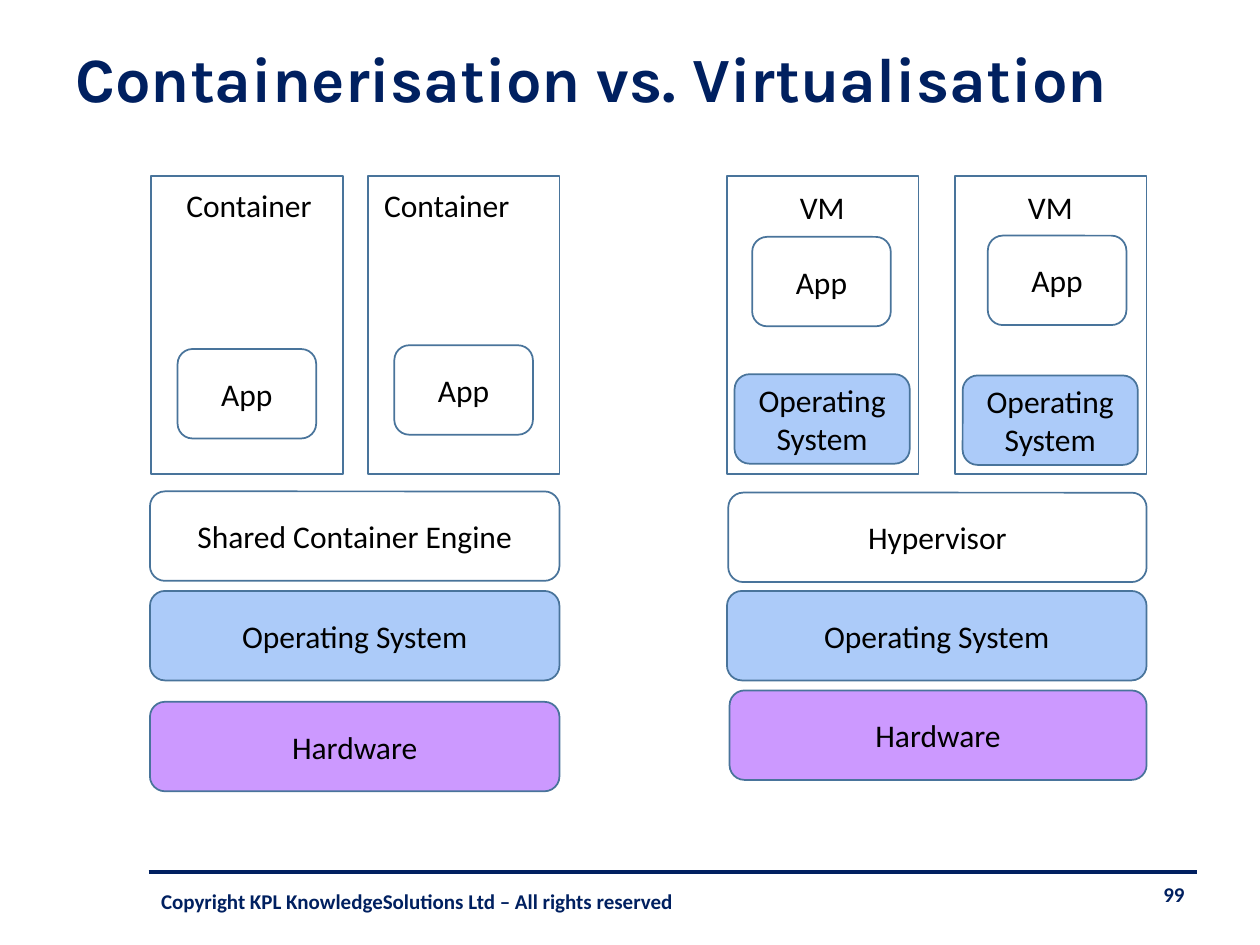
import pptx
import pptx.util
import pptx.dml.color
import pptx.enum.shapes
import pptx.enum.text
import pptx.oxml.ns
import lxml.etree

THEME = {
    "ink": "000000", "navy": "002060", "edge": "49749B",
    "blue": "ACCBF9", "violet": "CC99FF",
    "head": "Karla", "body": "Calibri",
    "big": 36, "mid": 18, "small": 12,
}

TITLE = "Containerisation vs. Virtualisation"
FOOT = "Copyright KPL KnowledgeSolutions Ltd – All rights reserved"
PAGE = "99"

STACKS = [
    [("Shared Container Engine", None, 1.19, 3.9, 3.25),
     ("Operating System", "blue", 1.19, 4.69, 3.25),
     ("Hardware", "violet", 1.19, 5.57, 3.25)],
    [("Hypervisor", None, 5.78, 3.91, 3.32),
     ("Operating System", "blue", 5.77, 4.69, 3.33),
     ("Hardware", "violet", 5.79, 5.48, 3.31)],
]

HOSTS = [
    {"name": "Container", "left": 1.2, "label": (1.38, 1.43, 1.21),
     "parts": [("App", None, 1.41, 2.77, 1.1)]},
    {"name": "Container", "left": 2.92, "label": (2.95, 1.43, 1.21),
     "parts": [("App", None, 3.13, 2.74, 1.1)]},
    {"name": "VM", "left": 5.77, "label": (6.25, 1.44, 0.56),
     "parts": [("Operating System", "blue", 5.83, 2.97, 1.39),
               ("App", None, 5.97, 1.88, 1.1)]},
    {"name": "VM", "left": 7.58, "label": (8.06, 1.44, 0.56),
     "parts": [("Operating System", "blue", 7.64, 2.98, 1.39),
               ("App", None, 7.84, 1.87, 1.1)]},
]

HOST_TOP, HOST_WIDE, HOST_HIGH = 1.4, 1.52, 2.36
BAR_HIGH, LINE_HIGH = 0.71, 0.4

Inches = pptx.util.Inches
KIND = pptx.enum.shapes.MSO_SHAPE
ALIGN = pptx.enum.text.PP_ALIGN
ANCHOR = pptx.enum.text.MSO_ANCHOR

deck = pptx.Presentation()
deck.slide_width, deck.slide_height = Inches(10), Inches(7.5)
slide = deck.slides.add_slide(deck.slide_layouts[6])
shapes = slide.shapes


def tint(name):
    return pptx.dml.color.RGBColor.from_string(THEME[name])


def write(shape, text, size="mid", color="ink", font="body", bold=False,
          align=ALIGN.LEFT, anchor=ANCHOR.TOP, wrap=True):
    frame = shape.text_frame
    frame.word_wrap = wrap
    frame.vertical_anchor = anchor
    para = frame.paragraphs[0]
    para.alignment = align
    run = para.add_run()
    run.text = text
    run.font.name = THEME[font]
    run.font.size = pptx.util.Pt(THEME[size])
    run.font.color.rgb = tint(color)
    run.font.bold = bold


def label(text, left, top, width, height=LINE_HIGH, **style):
    box = shapes.add_textbox(*map(Inches, (left, top, width, height)))
    write(box, text, **style)


def block(kind, left, top, width, height, fill=None):
    shape = shapes.add_shape(kind, *map(Inches, (left, top, width, height)))
    shape.shadow.inherit = False
    if fill:
        shape.fill.solid()
        shape.fill.fore_color.rgb = tint(fill)
    else:
        shape.fill.background()
    shape.line.color.rgb = tint("edge")
    shape.line.width = pptx.util.Pt(1)
    return shape


def bar(text, fill, left, top, width):
    shape = block(KIND.ROUNDED_RECTANGLE, left, top, width, BAR_HIGH, fill)
    write(shape, text, align=ALIGN.CENTER, anchor=ANCHOR.MIDDLE)


def rule(left, top, right):
    line = shapes.add_connector(pptx.enum.shapes.MSO_CONNECTOR.STRAIGHT,
                                *map(Inches, (left, top, right, top)))
    line.line.color.rgb = tint("navy")
    line.line.width = pptx.util.Pt(2.25)
    props = line.element.spPr
    lxml.etree.SubElement(props, pptx.oxml.ns.qn("a:effectLst"))


rule(1.18, 6.92, 9.5)
label(TITLE, 0.5, 0.3, 9.3, 0.62, size="big", color="navy", font="head",
      bold=True, anchor=ANCHOR.MIDDLE)

for stack in STACKS:
    for part in stack:
        bar(*part)

for host in HOSTS:
    block(KIND.RECTANGLE, host["left"], HOST_TOP, HOST_WIDE, HOST_HIGH)
    label(host["name"], *host["label"], wrap=False)
    for part in host["parts"]:
        bar(*part)

label(FOOT, 1.18, 7, 5.23, size="small", color="navy", bold=True)
label(PAGE, 6.58, 6.95, 2.92, size="small", color="navy", bold=True,
      align=ALIGN.RIGHT)

deck.save("out.pptx")
